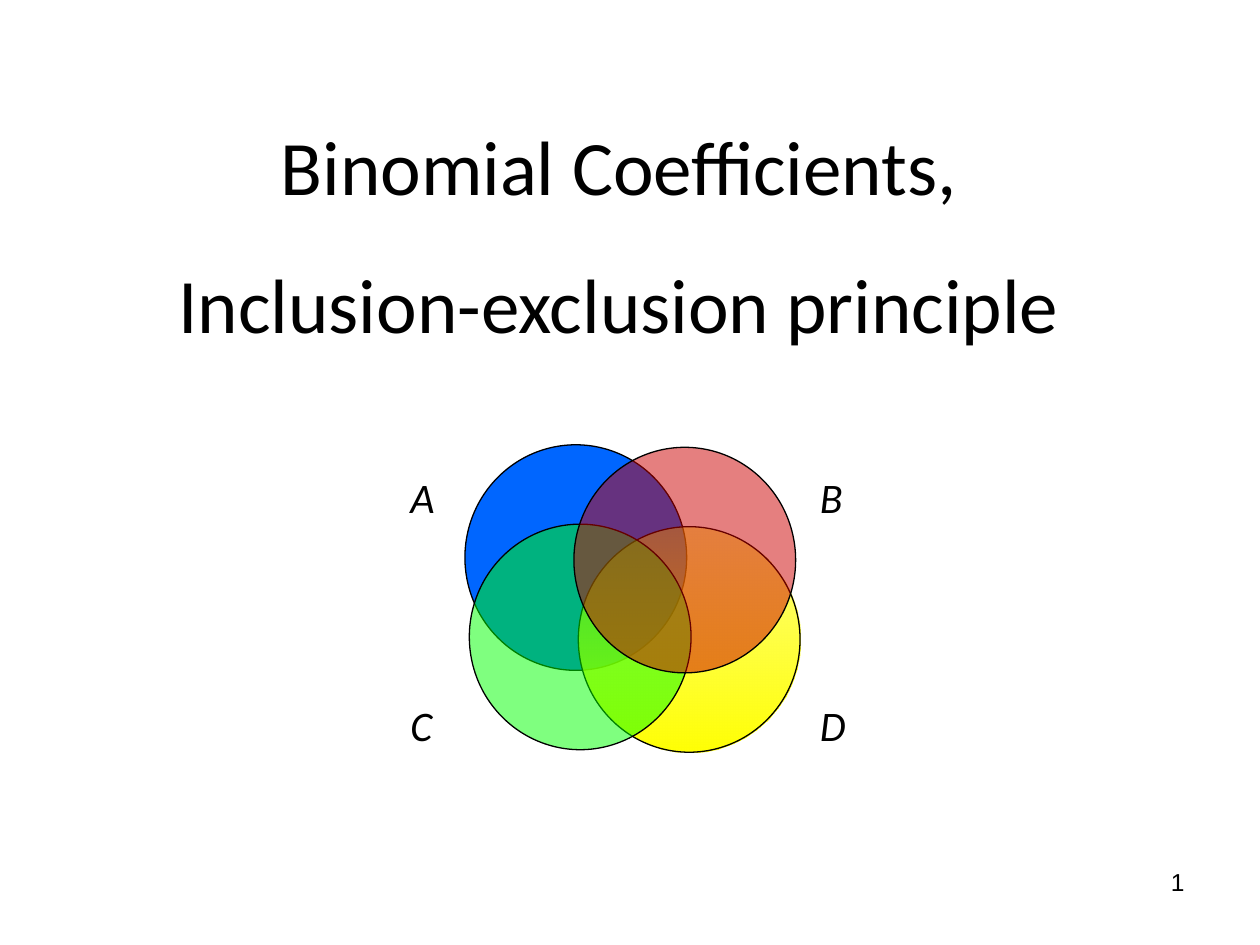
from lxml import etree
from pptx import Presentation
from pptx.dml.color import RGBColor as RGB
from pptx.enum.shapes import MSO_SHAPE as SHAPE
from pptx.enum.text import MSO_ANCHOR as ANCHOR, PP_ALIGN as ALIGN
from pptx.oxml.ns import qn
from pptx.util import Inches, Pt

COLS, ROWS = 100, 75  # square grid cells over the slide
CELL = Inches(10) / COLS
COLORS = {"ink": "000000", "A": "0066FF", "B": "CC0000", "C": "00FF00",
          "D": "FFFF00", "D_end": "FFFF04"}


def grid(*cells):
    return [round(c * CELL) for c in cells]


def color(name):
    return RGB.from_string(COLORS[name])


def add_text(slide, box, lines, font, align=ALIGN.LEFT, wrap=True,
             anchor=ANCHOR.TOP, spacing=1.0):
    """One paragraph of text, with a line break between the lines."""
    tf = slide.shapes.add_textbox(*grid(*box)).text_frame
    tf.word_wrap, tf.vertical_anchor = wrap, anchor
    p = tf.paragraphs[0]
    p.alignment, p.line_spacing = align, spacing
    for i, line in enumerate(lines):
        if i:
            p.add_line_break()
        r = p.add_run()
        r.text = line
        for key, value in font.items():
            setattr(r.font, key, value)
        r.font.color.rgb = color("ink")


def set_alpha(sp, percent):
    """Make the first fill colour of a shape translucent."""
    clr = next(sp.element.spPr.iter(qn("a:srgbClr")))
    etree.SubElement(clr, qn("a:alpha")).set("val", str(percent * 1000))


def add_circle(slide, box, name):
    sp = slide.shapes.add_shape(SHAPE.OVAL, *grid(*box))
    sp.shadow.inherit = False
    if name == "D":
        sp.fill.gradient()
        sp.fill.gradient_angle = 270
        for stop, key, pos in zip(sp.fill.gradient_stops, ("D", "D_end"), (0, 1)):
            stop.color.rgb, stop.position = color(key), pos
    else:
        sp.fill.solid()
        sp.fill.fore_color.rgb = color(name)
    if name != "A":
        set_alpha(sp, 50)
    sp.line.color.rgb, sp.line.width = color("ink"), Pt(0.75)


def add_title(slide, box):
    add_text(slide, box, ["Binomial Coefficients,", "Inclusion-exclusion principle"],
             {"name": "Calibri", "size": Pt(44)}, ALIGN.CENTER,
             anchor=ANCHOR.MIDDLE, spacing=1.5)


def add_venn(slide, box):
    """Four overlapping sets in two columns and two rows, labelled at the corners."""
    x, y, w, h = box
    label_w, label_h = 4, 5
    circle_w, circle_h = 17.6, 17.9
    font = {"name": "Calibri", "size": Pt(24), "italic": True}
    places = {"A": (0, 0), "D": (1, 1), "C": (0, 1), "B": (1, 0)}  # back to front
    for name, (col, row) in places.items():
        left = x + 5.3 + 8.65 * col + 0.35 * row
        top = y + 0.2 * col + 6.3 * row
        add_circle(slide, (left, top, circle_w, circle_h), name)
    for name, (col, row) in places.items():
        left = x + (w - label_w) * col
        top = y + 1.6 + (h - 1.6 - label_h) * row
        add_text(slide, (left, top, label_w, label_h), [name], font, wrap=False)


def add_page_number(slide, box):
    add_text(slide, box, ["1"], {"name": "Arial", "size": Pt(14)}, ALIGN.RIGHT)


def main():
    prs = Presentation()
    prs.slide_width, prs.slide_height = grid(COLS, ROWS)
    slide = prs.slides.add_slide(prs.slide_layouts[6])
    add_title(slide, (2.5, 11.7, 93.3, 10))
    add_venn(slide, (31.6, 35.3, 36.5, 24.7))
    add_page_number(slide, (71.7, 68.3, 23.3, 5.2))
    prs.save("out.pptx")


if __name__ == "__main__":
    main()
